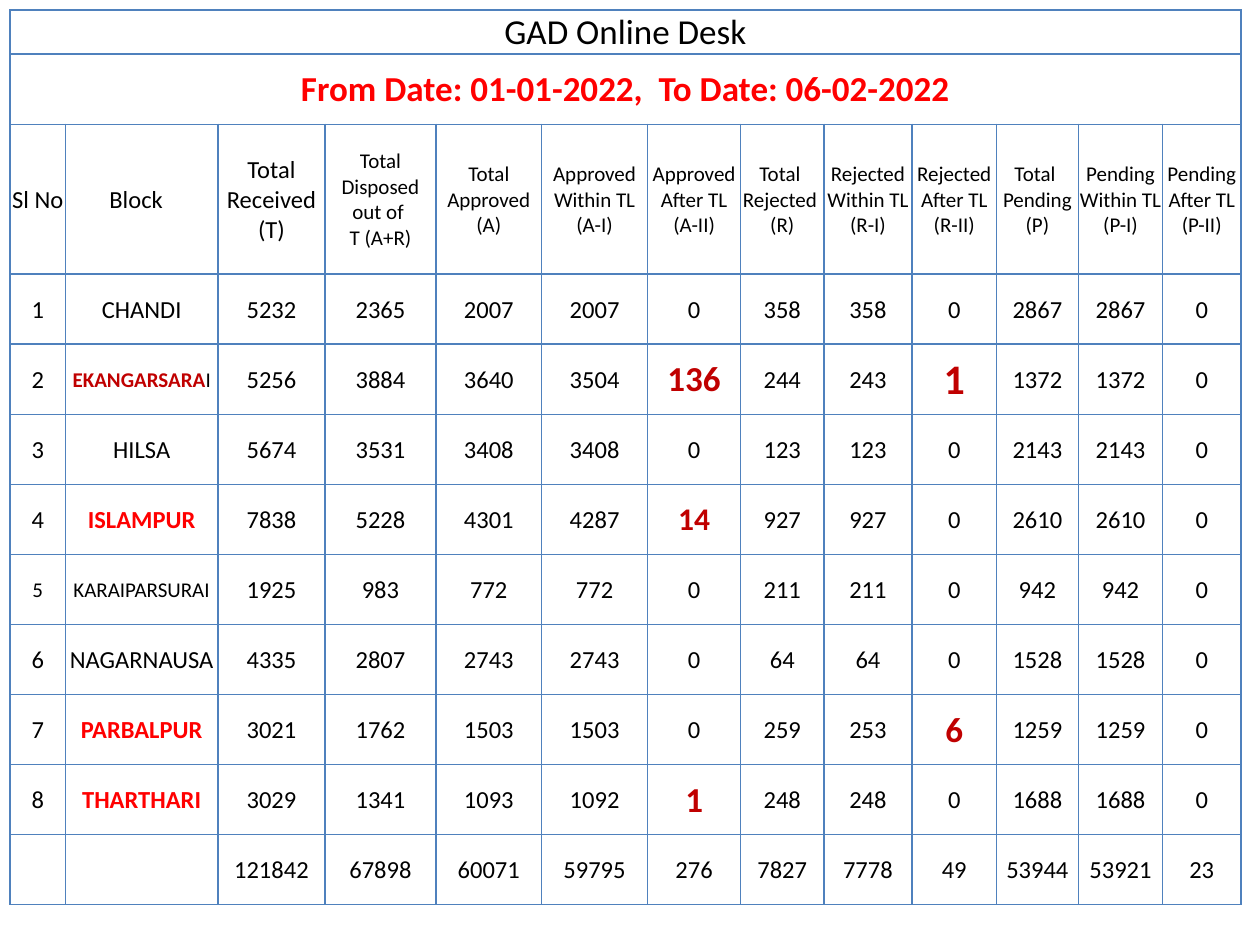
from dataclasses import dataclass

from lxml import etree
from pptx import Presentation
from pptx.dml.color import RGBColor
from pptx.enum.text import MSO_ANCHOR, PP_ALIGN
from pptx.oxml.ns import qn
from pptx.util import Inches, Pt

MIDDLE = MSO_ANCHOR.MIDDLE
CENTER = PP_ALIGN.CENTER
BLANK_LAYOUT = 6


@dataclass(frozen=True)
class Theme:
    font: str = "Calibri"
    ink: str = "000000"
    red: str = "FF0000"
    dark_red: str = "C00000"
    border: str = "4F81BD"
    border_width: int = Pt(1)
    title: int = 20
    body: int = 14
    small: int = 12
    flag: int = 18
    large_flag: int = 20
    huge_flag: int = 24


THEME = Theme()
TITLE = "GAD Online Desk"
PERIOD = "From Date: 01-01-2022,  To Date: 06-02-2022"
COLUMN_WIDTHS = [0.44, 1.21, 0.85, 0.88, 0.84, 0.84, 0.74, 0.66, 0.7, 0.67, 0.65, 0.67, 0.62]
TITLE_HEIGHT = 0.35
HEADING_HEIGHT = 1.19
TITLE_ROW, PERIOD_ROW, HEADING_ROW, FIRST_BLOCK_ROW = range(4)
LARGE_HEADINGS = 3

HEADINGS = [
    "Sl No", "Block  ", "Total Received\n(T)", "Total Disposed out of \nT (A+R)",
    "Total Approved (A)", "Approved Within TL (A-I)", "Approved After TL (A-II)",
    "Total  Rejected  (R)", "Rejected Within TL (R-I)", "Rejected After TL (R-II)",
    "Total  Pending (P)", "Pending Within TL (P-I)", "Pending After TL (P-II)",
]
BLOCKS = [
    ("CHANDI", 5232, 2365, 2007, 2007, 0, 358, 358, 0, 2867, 2867, 0),
    ("EKANGARSARAI", 5256, 3884, 3640, 3504, 136, 244, 243, 1, 1372, 1372, 0),
    ("HILSA", 5674, 3531, 3408, 3408, 0, 123, 123, 0, 2143, 2143, 0),
    ("ISLAMPUR", 7838, 5228, 4301, 4287, 14, 927, 927, 0, 2610, 2610, 0),
    ("KARAIPARSURAI", 1925, 983, 772, 772, 0, 211, 211, 0, 942, 942, 0),
    ("NAGARNAUSA", 4335, 2807, 2743, 2743, 0, 64, 64, 0, 1528, 1528, 0),
    ("PARBALPUR", 3021, 1762, 1503, 1503, 0, 259, 253, 6, 1259, 1259, 0),
    ("THARTHARI", 3029, 1341, 1093, 1092, 1, 248, 248, 0, 1688, 1688, 0),
]
TOTALS = ("", "", 121842, 67898, 60071, 59795, 276, 7827, 7778, 49, 53944, 53921, 23)

RED_NAME = {"color": THEME.red, "bold": True}
LARGE_FLAG = {"size": THEME.large_flag, "color": THEME.dark_red, "bold": True}
EMPHASIS = {
    (2, 1): {"size": THEME.small, "color": THEME.dark_red, "bold": True},
    (2, 6): LARGE_FLAG,
    (2, 9): {**LARGE_FLAG, "size": THEME.huge_flag},
    (4, 1): RED_NAME,
    (4, 6): {**LARGE_FLAG, "size": THEME.flag},
    (5, 0): {"size": THEME.small},
    (5, 1): {"size": THEME.small},
    (7, 1): RED_NAME,
    (7, 9): LARGE_FLAG,
    (8, 1): RED_NAME,
    (8, 6): LARGE_FLAG,
}


def add_run(paragraph, text, *, size=THEME.body, color=THEME.ink, bold=False):
    run = paragraph.add_run()
    run.text = text
    run.font.name = THEME.font
    run.font.size = Pt(size)
    run.font.bold = bold
    run.font.color.rgb = RGBColor.from_string(color)


def write_text(cell, text, **text_format):
    text_frame = cell.text_frame
    for index, line in enumerate(text.split("\n")):
        paragraph = text_frame.add_paragraph() if index else text_frame.paragraphs[0]
        paragraph.alignment = CENTER
        add_run(paragraph, line, **text_format)


def style_cell(cell):
    cell.vertical_anchor = MIDDLE
    cell.margin_left = cell.margin_right = cell.margin_top = Inches(0.01)
    cell.margin_bottom = 0
    properties = cell._tc.get_or_add_tcPr()
    for side in ("lnL", "lnR", "lnT", "lnB"):
        line = etree.SubElement(properties, qn(f"a:{side}"), w=str(THEME.border_width))
        fill = etree.SubElement(line, qn("a:solidFill"))
        etree.SubElement(fill, qn("a:srgbClr"), val=THEME.border)
    cell.fill.background()


def fill_banner(table, row, text, **text_format):
    cell = table.cell(row, 0)
    cell.merge(table.cell(row, len(COLUMN_WIDTHS) - 1))
    write_text(cell, text, **text_format)


def fill_headings(table):
    for column, heading in enumerate(HEADINGS):
        size = THEME.body if column < LARGE_HEADINGS else THEME.small
        write_text(table.cell(HEADING_ROW, column), heading, size=size)


def fill_figures(table):
    rows = [(number, *block) for number, block in enumerate(BLOCKS, 1)] + [TOTALS]
    for number, values in enumerate(rows, 1):
        for column, value in enumerate(values):
            if value == "":
                continue
            cell = table.cell(FIRST_BLOCK_ROW + number - 1, column)
            text_format = EMPHASIS.get((number, column), {})
            if value == "EKANGARSARAI":
                write_text(cell, value[:-1], **text_format)
                add_run(cell.text_frame.paragraphs[0], value[-1], size=THEME.small)
            else:
                write_text(cell, str(value), **text_format)


def add_service_table(slide, left, top, width, height):
    row_count = FIRST_BLOCK_ROW + len(BLOCKS) + 1
    shape = slide.shapes.add_table(row_count, len(COLUMN_WIDTHS), left, top, width, height)
    table = shape.table
    table.first_row = table.horz_banding = False
    for column, column_width in zip(table.columns, COLUMN_WIDTHS):
        column.width = Inches(column_width)
    fixed_heights = {TITLE_ROW: Inches(TITLE_HEIGHT), HEADING_ROW: Inches(HEADING_HEIGHT)}
    even_height = (height - sum(fixed_heights.values())) // (row_count - len(fixed_heights))
    for index, row in enumerate(table.rows):
        row.height = fixed_heights.get(index, even_height)
    for cell in table.iter_cells():
        style_cell(cell)
    fill_banner(table, TITLE_ROW, TITLE, size=THEME.title)
    fill_banner(table, PERIOD_ROW, PERIOD, size=THEME.title, color=THEME.red, bold=True)
    fill_headings(table)
    fill_figures(table)


def main():
    presentation = Presentation()
    presentation.slide_width = Inches(10)
    presentation.slide_height = Inches(7.5)
    slide = presentation.slides.add_slide(presentation.slide_layouts[BLANK_LAYOUT])
    add_service_table(slide, Inches(0.08), Inches(0.08), Inches(9.77), Inches(7.1))
    presentation.save("out.pptx")


if __name__ == "__main__":
    main()
